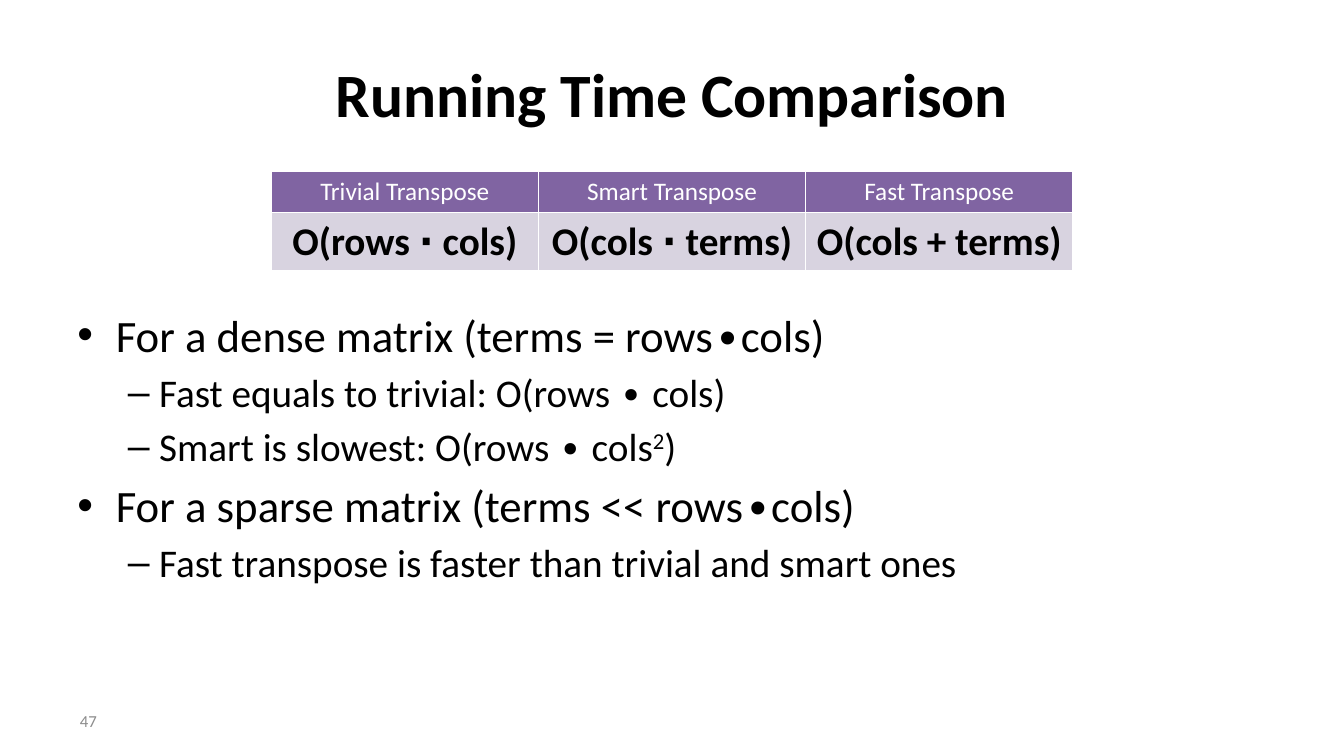
import pptx
import pptx.dml.color
import pptx.enum.text
import pptx.oxml
import pptx.oxml.ns
import pptx.util
from pptx.util import Inches

BLACK = pptx.dml.color.RGBColor(0x00, 0x00, 0x00)
WHITE = pptx.dml.color.RGBColor(0xFF, 0xFF, 0xFF)
GREY = pptx.dml.color.RGBColor(0x8C, 0x8C, 0x8C)
PURPLE = pptx.dml.color.RGBColor(0x80, 0x64, 0xA2)
LILAC = pptx.dml.color.RGBColor(0xD8, 0xD3, 0xE0)
ALIGN = pptx.enum.text.PP_ALIGN
ANCHOR = pptx.enum.text.MSO_ANCHOR
SPACE = pptx.oxml.ns.nsdecls("a")


class Page:
    face = "Calibri"
    levels = [("•", 0.38, -0.38, 32, 6), ("–", 0.81, -0.31, 28, 5)]

    def __init__(self, deck):
        self.slide = deck.slides.add_slide(deck.slide_layouts[6])

    def style(self, para, size, color=BLACK, bold=False, align=ALIGN.LEFT):
        para.alignment = align
        font = para.font
        font.name = self.face
        font.size = pptx.util.Pt(size)
        font.bold = bold
        font.color.rgb = color

    def box(self, left, top, width, height, anchor=ANCHOR.MIDDLE):
        shape = self.slide.shapes.add_textbox(
            Inches(left), Inches(top), Inches(width), Inches(height))
        frame = shape.text_frame
        frame.word_wrap = True
        frame.vertical_anchor = anchor
        return frame

    def label(self, text, *place, **look):
        para = self.box(*place).paragraphs[0]
        para.text = text
        self.style(para, **look)

    def bullets(self, items, *place):
        frame = self.box(*place, anchor=ANCHOR.TOP)
        for index, (level, parts) in enumerate(items):
            para = frame.add_paragraph() if index else frame.paragraphs[0]
            mark, margin, indent, size, before = self.levels[level]
            para.level = level
            if index:
                para.space_before = pptx.util.Pt(before)
            props = para._p.get_or_add_pPr()
            props.set("marL", str(Inches(margin)))
            props.set("indent", str(Inches(indent)))
            for xml in (f'<a:buFont {SPACE} typeface="Arial"/>',
                        f'<a:buChar {SPACE} char="{mark}"/>'):
                props.append(pptx.oxml.parse_xml(xml))
            self.style(para, size)
            for order, part in enumerate(parts):
                run = para.add_run()
                run.text = part
                if order == 1:
                    run._r.get_or_add_rPr().set("baseline", "30000")

    def border(self, cell):
        props = cell._tc.get_or_add_tcPr()
        for side in "LRTB":
            props.append(pptx.oxml.parse_xml(
                f'<a:ln{side} {SPACE} w="12700"><a:solidFill>'
                f'<a:srgbClr val="{WHITE}"/></a:solidFill></a:ln{side}>'))

    def table(self, rows, left, top, width):
        height = sum(row[0] for row in rows)
        table = self.slide.shapes.add_table(
            len(rows), len(rows[0][1]), Inches(left), Inches(top),
            Inches(width), Inches(height)).table
        table.first_row = False
        table.horz_banding = False
        for line, (tall, texts, fill, look) in zip(table.rows, rows):
            line.height = Inches(tall)
            for cell, text in zip(line.cells, texts):
                self.border(cell)
                cell.fill.solid()
                cell.fill.fore_color.rgb = fill
                para = cell.text_frame.paragraphs[0]
                para.text = text
                self.style(para, align=ALIGN.CENTER, **look)


def main():
    deck = pptx.Presentation()
    deck.slide_width = Inches(13.33)
    deck.slide_height = Inches(7.5)
    page = Page(deck)
    page.label("Running Time Comparison", 0.67, 0.3, 12, 1.25,
               size=44, bold=True, align=ALIGN.CENTER)
    page.bullets([
        (0, ["For a dense matrix (terms = rows∙cols)"]),
        (1, ["Fast equals to trivial: O(rows ∙ cols)"]),
        (1, ["Smart is slowest: O(rows ∙ cols", "2", ")"]),
        (0, ["For a sparse matrix (terms << rows∙cols)"]),
        (1, ["Fast transpose is faster than trivial and smart ones"]),
    ], 0.67, 3, 12, 3.7)
    page.table([
        (0.41, ["Trivial Transpose", "Smart Transpose", "Fast Transpose"],
         PURPLE, {"size": 18, "color": WHITE}),
        (0.57, ["O(rows ∙ cols)", "O(cols ∙ terms)", "O(cols + terms)"],
         LILAC, {"size": 28, "bold": True}),
    ], 2.69, 1.7, 7.95)
    page.label("47", 0.3, 6.95, 0.76, 0.4,
               size=12, color=GREY, align=ALIGN.RIGHT)
    deck.save("out.pptx")


if __name__ == "__main__":
    main()
